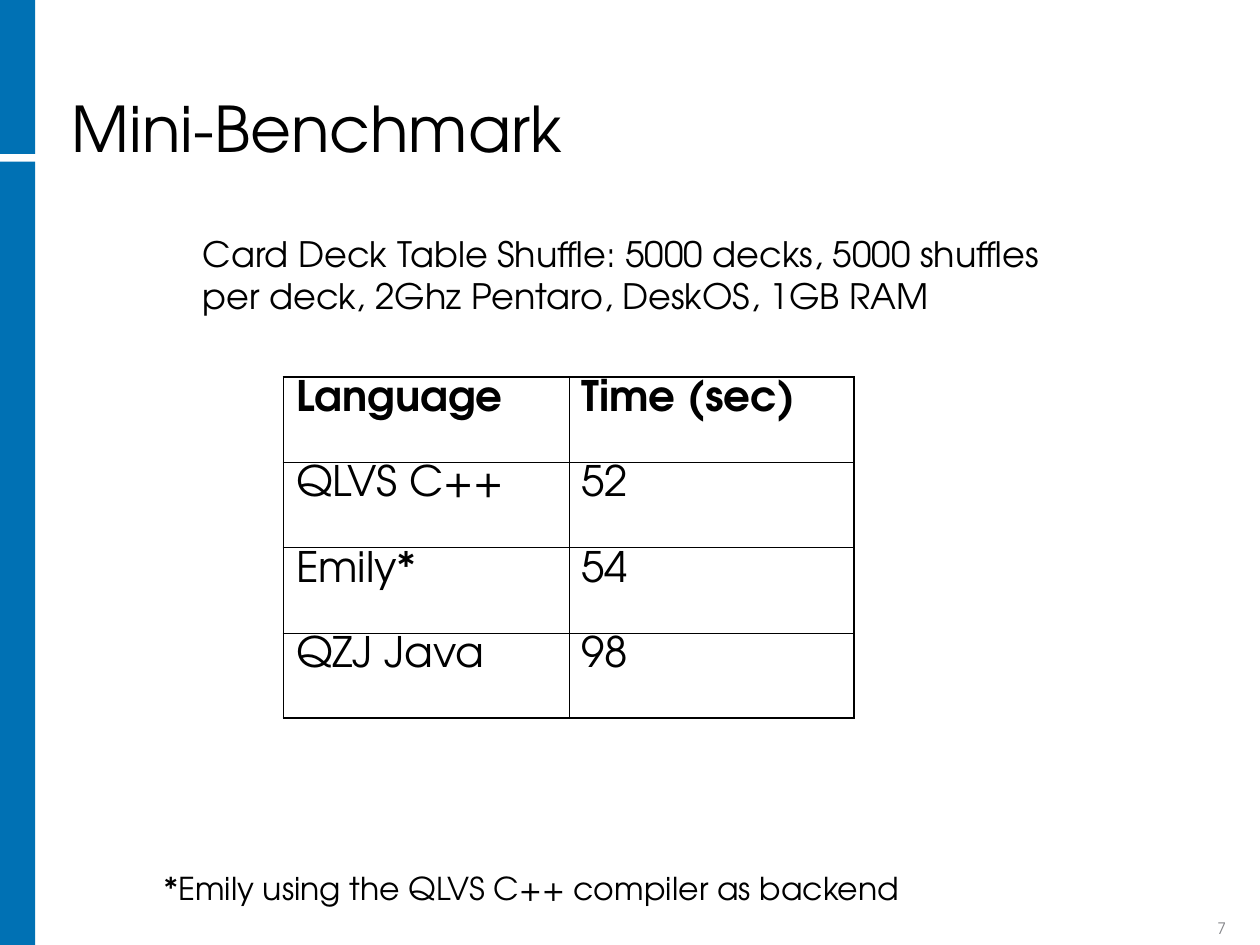
import lxml.etree
import pptx
import pptx.dml.color
import pptx.enum.shapes
import pptx.enum.text
import pptx.oxml.ns
import pptx.util

COLORS = {"bar": "0071B4", "ink": "000000", "number": "848589"}
FONT = "TeX Gyre Adventor"
WIDTH, HEIGHT = 10, 7.5
THIN, THICK = 0.45, 1.08
ROWS = [
    ("Language", "Time (sec)"),
    ("QLVS C++", "52"),
    ("Emily*", "54"),
    ("QZJ Java", "98"),
]
ALIGN = pptx.enum.text.PP_ALIGN
ANCHOR = pptx.enum.text.MSO_ANCHOR
AUTO_SIZE = pptx.enum.text.MSO_AUTO_SIZE


def inches(box):
    """Convert a box given in shares of the slide into lengths."""
    return [pptx.util.Inches(share * side)
            for share, side in zip(box, (WIDTH, HEIGHT, WIDTH, HEIGHT))]


def color(name):
    """Look up a named colour."""
    return pptx.dml.color.RGBColor.from_string(COLORS[name])


def write(frame, text, size, ink="ink", bold=False, align=ALIGN.LEFT):
    """Write one styled run into the first paragraph and return the paragraph."""
    para = frame.paragraphs[0]
    para.alignment = align
    span = para.add_run()
    span.text = text
    span.font.name = FONT
    span.font.size = pptx.util.Pt(size)
    span.font.bold = bold
    span.font.color.rgb = color(ink)
    return para


def add_side_bar(page, box):
    """Draw the two-part bar, split by a narrow gap."""
    left, top, width, height = box
    for start, share in ((0, 0.163), (0.171, 0.829)):
        part = (left, top + start * height, width, share * height)
        bar = page.shapes.add_shape(
            pptx.enum.shapes.MSO_SHAPE.RECTANGLE, *inches(part))
        bar.shadow.inherit = False
        bar.fill.solid()
        bar.fill.fore_color.rgb = color("bar")
        bar.line.fill.background()


def add_title(page, box, text):
    """Place and fill the title placeholder."""
    title = page.shapes.title
    title.left, title.top, title.width, title.height = inches(box)
    frame = title.text_frame
    frame.auto_size = AUTO_SIZE.NONE
    frame.vertical_anchor = ANCHOR.BOTTOM
    write(frame, text, 36).line_spacing = 0.9


def add_note(page, box, text, size, before):
    """Add a wrapped text box that grows with its text."""
    frame = page.shapes.add_textbox(*inches(box)).text_frame
    frame.word_wrap = True
    frame.auto_size = AUTO_SIZE.SHAPE_TO_FIT_TEXT
    write(frame, text, size).space_before = pptx.util.Pt(before)


def add_page_number(page, box, text):
    """Add the small page number at the lower right."""
    frame = page.shapes.add_textbox(*inches(box)).text_frame
    frame.word_wrap = True
    frame.vertical_anchor = ANCHOR.BOTTOM
    write(frame, text, 9, "number", align=ALIGN.RIGHT)


def set_borders(cell, widths):
    """Give a cell solid borders of the given widths, keyed by side."""
    properties = cell._tc.get_or_add_tcPr()
    for side in "LRTB":
        line = lxml.etree.SubElement(
            properties, pptx.oxml.ns.qn("a:ln" + side),
            w=str(int(pptx.util.Pt(widths[side]))))
        fill = lxml.etree.SubElement(line, pptx.oxml.ns.qn("a:solidFill"))
        lxml.etree.SubElement(
            fill, pptx.oxml.ns.qn("a:srgbClr"), val=COLORS["ink"])


def add_benchmark_table(page, box, rows):
    """Add the timing table with a thicker outer frame."""
    last_row, last_column = len(rows) - 1, len(rows[0]) - 1
    table = page.shapes.add_table(
        len(rows), len(rows[0]), *inches(box)).table
    table.first_row = False
    table.horz_banding = False
    for r, values in enumerate(rows):
        for c, value in enumerate(values):
            cell = table.cell(r, c)
            para = write(cell.text_frame, value, 24, bold=r == 0)
            para.line_spacing = 0.9
            para.space_before = pptx.util.Pt(9)
            para.space_after = pptx.util.Pt(3)
            outer = {"L": c == 0, "R": c == last_column,
                     "T": r == 0, "B": r == last_row}
            set_borders(cell, {side: THICK if edge else THIN
                               for side, edge in outer.items()})
            cell.fill.background()


def main():
    """Build the benchmark slide."""
    deck = pptx.Presentation()
    deck.slide_width = pptx.util.Inches(WIDTH)
    deck.slide_height = pptx.util.Inches(HEIGHT)
    page = deck.slides.add_slide(deck.slide_layouts[5])
    add_side_bar(page, (0, 0, 0.028, 1))
    add_title(page, (0.047, 0.016, 0.834, 0.167), "Mini-Benchmark")
    add_benchmark_table(page, (0.225, 0.399, 0.453, 0.361), ROWS)
    add_note(page, (0.151, 0.239, 0.723, 0.103),
             "Card Deck Table Shuffle: 5000 decks, 5000 shuffles per deck, "
             "2Ghz Pentaro, DeskOS, 1GB RAM", 20, 12.5)
    add_note(page, (0.121, 0.913, 0.708, 0.053),
             "*Emily using the QLVS C++ compiler as backend", 18, 11.2)
    add_page_number(page, (0.9, 0.967, 0.083, 0.032), "7")
    deck.save("out.pptx")


if __name__ == "__main__":
    main()
